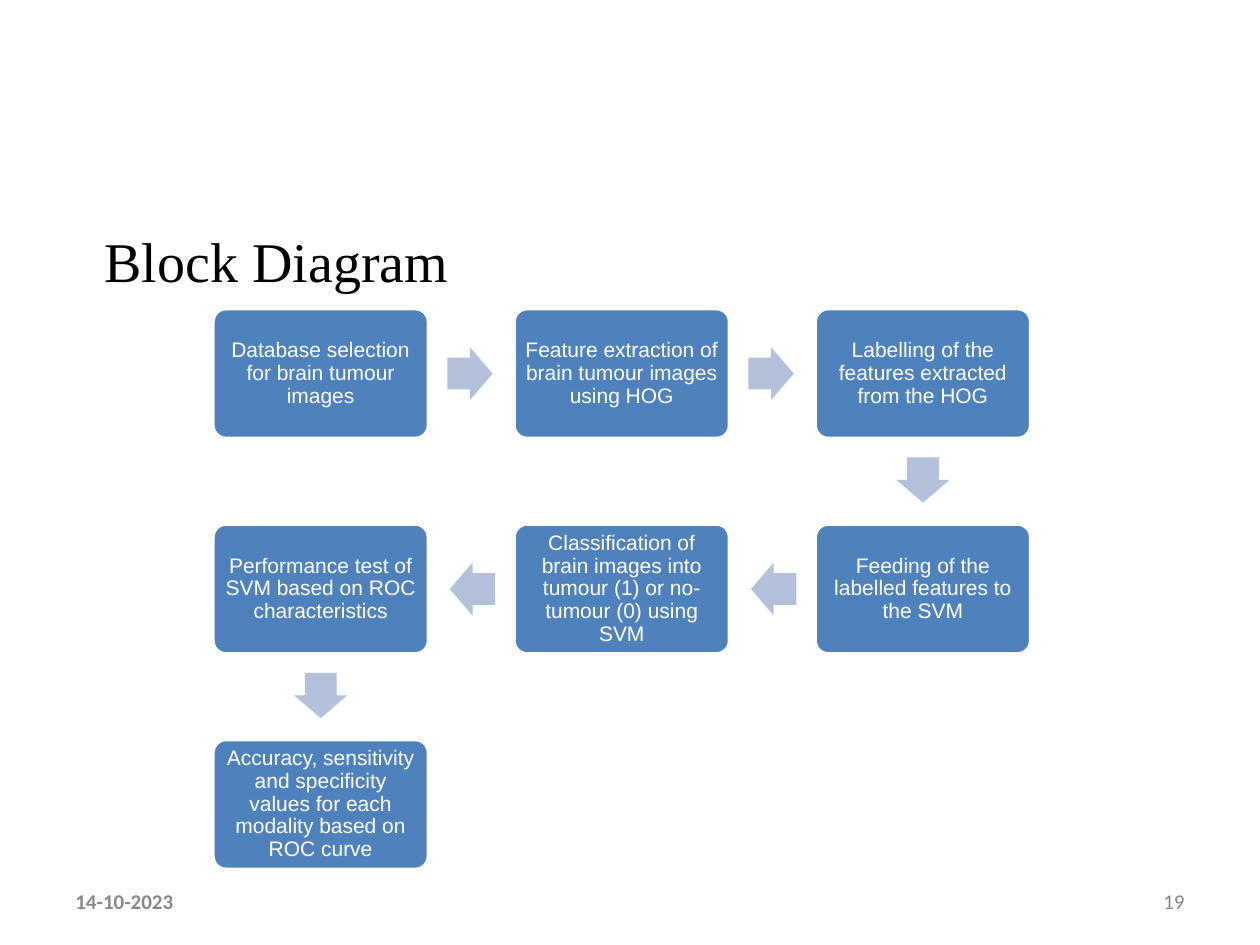
from itertools import pairwise

from pptx import Presentation
from pptx.dml.color import RGBColor
from pptx.enum.shapes import MSO_SHAPE
from pptx.enum.text import MSO_ANCHOR, MSO_AUTO_SIZE, PP_ALIGN
from pptx.util import Inches, Pt

ROUNDED = MSO_SHAPE.ROUNDED_RECTANGLE
ARROW = MSO_SHAPE.RIGHT_ARROW
LEFT, CENTER, RIGHT = PP_ALIGN.LEFT, PP_ALIGN.CENTER, PP_ALIGN.RIGHT
TOP, MIDDLE = MSO_ANCHOR.TOP, MSO_ANCHOR.MIDDLE
FIXED = MSO_AUTO_SIZE.NONE

BLUE, PALE_BLUE, GREY = "4F81BD", "B3C1DB", "888888"
BLACK, WHITE = "000000", "FFFFFF"

STEP_SIZE = (1.71, 1.03)
STEP_PITCH = (2.39, 1.71)
ARROW_SIZE = (0.36, 0.42)
ARROW_SETBACK = 0.01
ROTATIONS = {(1, 0): 0, (0, 1): 90, (-1, 0): 180}

STEPS = [
    ((0, 0), "Database selection for brain tumour images"),
    ((1, 0), "Feature extraction of brain tumour images using HOG"),
    ((2, 0), "Labelling of the features extracted from the HOG"),
    ((2, 1), "Feeding of the labelled features to the SVM"),
    ((1, 1), "Classification of brain images into tumour (1) or no-tumour (0) using SVM"),
    ((0, 1), "Performance test of SVM based on ROC characteristics"),
    ((0, 2), "Accuracy, sensitivity and specificity values for each modality based on ROC curve"),
]


def color(value):
    """Turn a hex string into a colour."""
    return RGBColor.from_string(value)


def apply_format(target, values):
    """Set each named attribute of the target."""
    for key, value in values.items():
        setattr(target, key, value)


def write(shape, text, font, size, hex_color, align, anchor=MIDDLE,
          margins=(0.1, 0.05), bold=False, **paragraph_format):
    """Put one formatted paragraph into a shape."""
    side, end = (Inches(margin) for margin in margins)
    frame = shape.text_frame
    apply_format(frame, {
        "word_wrap": True, "auto_size": FIXED, "vertical_anchor": anchor,
        "margin_left": side, "margin_right": side,
        "margin_top": end, "margin_bottom": end,
    })
    paragraph = frame.paragraphs[0]
    apply_format(paragraph, {"alignment": align, **paragraph_format})
    run = paragraph.add_run()
    run.text = text
    apply_format(run.font, {"name": font, "size": Pt(size), "bold": bold})
    run.font.color.rgb = color(hex_color)


def add_filled(slide, preset, box, fill, adjustments):
    """Add a flat preset shape without an outline."""
    shape = slide.shapes.add_shape(preset, *map(Inches, box))
    shape.shadow.inherit = False
    shape.fill.solid()
    shape.fill.fore_color.rgb = color(fill)
    shape.line.fill.background()
    for index, value in enumerate(adjustments):
        shape.adjustments[index] = value
    return shape


def add_title(slide, box, text):
    """Place and format the slide title."""
    title = slide.shapes.title
    lengths = map(Inches, box)
    apply_format(title, dict(zip(("left", "top", "width", "height"), lengths)))
    write(title, text, "Times New Roman", 32, BLACK, LEFT, TOP,
          margins=(0.33, 0.05), space_before=Pt(6.4))


def add_step(slide, box, text):
    """Add one step of the process."""
    step = add_filled(slide, ROUNDED, box, BLUE, [0.1])
    step.line.color.rgb = color(WHITE)
    step.line.width = Pt(2)
    write(step, text, "Arial", 12, WHITE, CENTER, margins=(0.05, 0.05),
          line_spacing=0.9)


def add_arrow(slide, center, direction):
    """Add a block arrow that points in the given direction."""
    corner = [c - size / 2 for c, size in zip(center, ARROW_SIZE)]
    arrow = add_filled(slide, ARROW, (*corner, *ARROW_SIZE), PALE_BLUE, [0.6, 0.5])
    arrow.rotation = ROTATIONS[direction]


def add_process(slide, origin, steps):
    """Lay the steps out on a snaking grid and link them with arrows."""
    corners = [
        [start + index * pitch for start, index, pitch in zip(origin, cell, STEP_PITCH)]
        for cell, _ in steps
    ]
    for corner, (_, text) in zip(corners, steps):
        add_step(slide, (*corner, *STEP_SIZE), text)
    cells = [cell for cell, _ in steps]
    for (cell, following), ends in zip(pairwise(cells), pairwise(corners)):
        direction = tuple(b - a for a, b in zip(cell, following))
        center = [
            (a + b + size) / 2 - ARROW_SETBACK * way
            for a, b, size, way in zip(*ends, STEP_SIZE, direction)
        ]
        add_arrow(slide, center, direction)


def add_footer(slide, box, date, number):
    """Put the date at the left and the slide number at the right of the box."""
    left, top, width, height = box
    part_width = 2.33
    parts = [(left, date, LEFT, True),
             (left + width - part_width, number, RIGHT, False)]
    for x, text, align, bold in parts:
        part = slide.shapes.add_textbox(*map(Inches, (x, top, part_width, height)))
        write(part, text, "Calibri", 12, GREY, align, bold=bold)


def main():
    """Build and save the slide."""
    deck = Presentation()
    deck.slide_width, deck.slide_height = Inches(10), Inches(7.5)
    slide = deck.slides.add_slide(deck.slide_layouts[5])
    add_title(slide, (0.5, 1.75, 9, 0.9), "Block Diagram")
    add_footer(slide, (0.5, 6.95, 9, 0.4), "14-10-2023", "19")
    add_process(slide, (1.69, 2.45), STEPS)
    deck.save("out.pptx")


if __name__ == "__main__":
    main()
